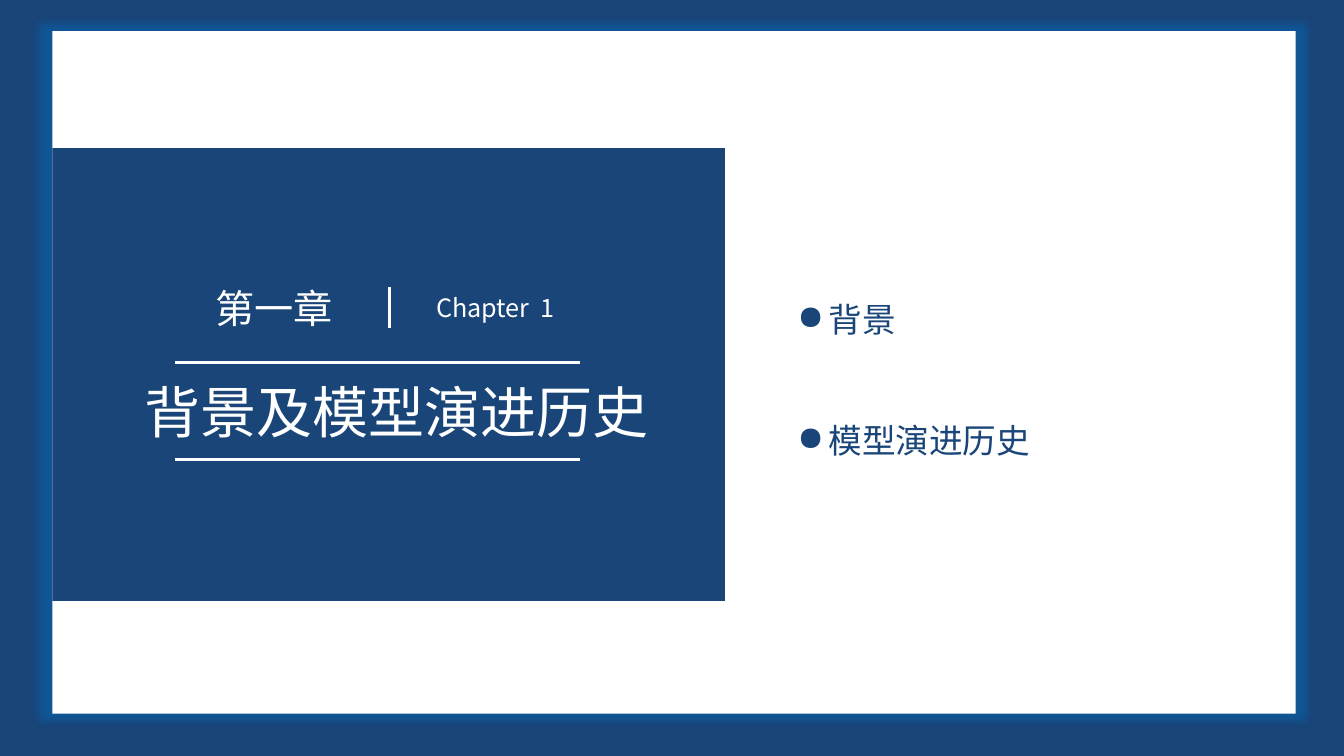
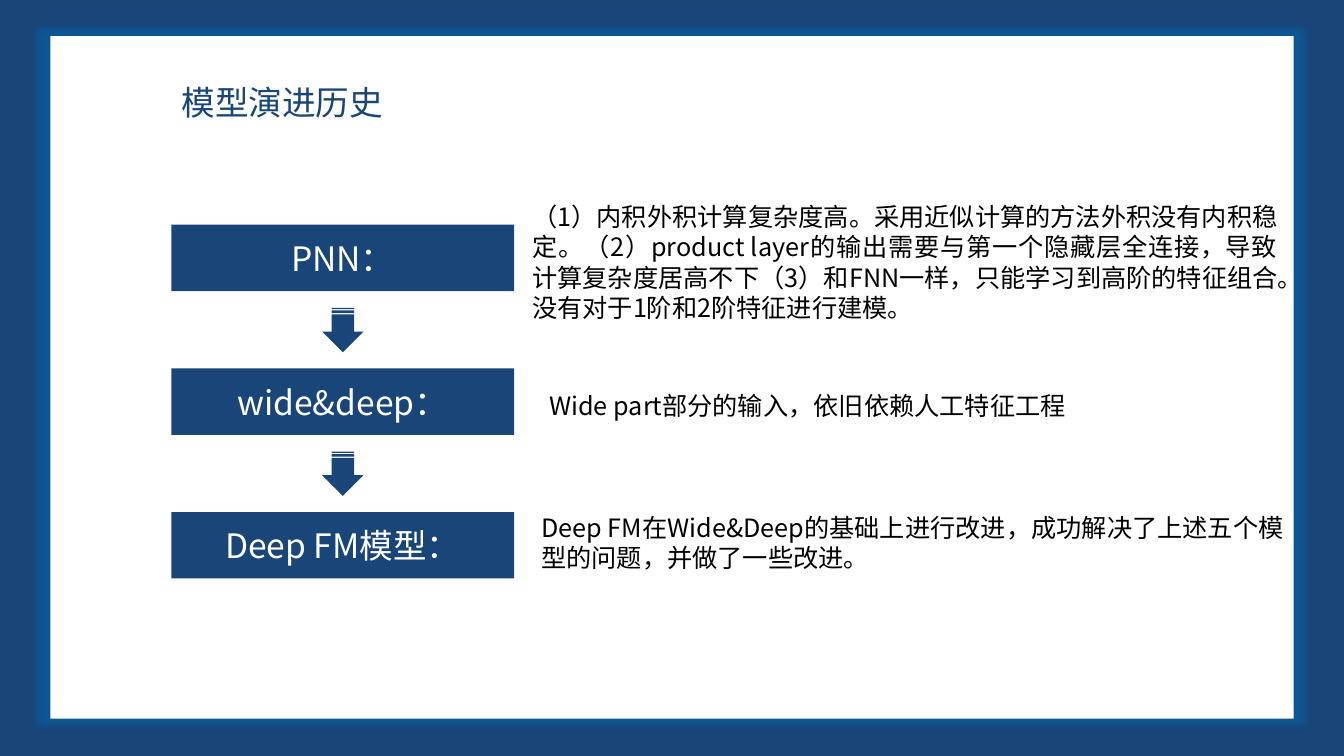
from dataclasses import dataclass

from lxml.etree import SubElement
from pptx import Presentation
from pptx.dml.color import RGBColor
from pptx.enum.shapes import MSO_CONNECTOR, MSO_SHAPE
from pptx.enum.text import MSO_ANCHOR, MSO_AUTO_SIZE, PP_ALIGN
from pptx.oxml.ns import qn
from pptx.util import Inches, Pt

NAVY = "194579"
WHITE = "FFFFFF"
BLACK = "000000"
GLOW = "0070C0"
FONT = "Noto Sans CJK SC"
BULLET_FONT = "Calibri"


@dataclass(frozen=True)
class Box:
    left: float
    top: float
    width: float
    height: float

    def lengths(self) -> tuple:
        return tuple(Inches(value) for value in (self.left, self.top, self.width, self.height))


@dataclass(frozen=True)
class Rule:
    start: tuple[float, float]
    end: tuple[float, float]


@dataclass(frozen=True)
class Stage:
    label: str
    description: str
    box: Box
    align: PP_ALIGN
    spacing: float


RULES = (
    Rule((3.86, 2.85), (3.86, 3.25)),
    Rule((1.74, 3.6), (5.75, 3.6)),
    Rule((1.74, 4.56), (5.75, 4.56)),
)

STAGES = (
    Stage(
        "PNN：",
        "（1）内积外积计算复杂度高。采用近似计算的方法外积没有内积稳定。"
        "（2）product layer的输出需要与第一个隐藏层全连接，导致计算复杂度居高不下"
        "（3）和FNN一样，只能学习到高阶的特征组合。没有对于1阶和2阶特征进行建模。",
        Box(5.18, 1.95, 7.59, 1.31), PP_ALIGN.JUSTIFY, 1.0,
    ),
    Stage(
        "wide&deep：",
        "Wide part部分的输入，依旧依赖人工特征工程",
        Box(5.35, 3.73, 7.48, 0.46), PP_ALIGN.LEFT, 1.3,
    ),
    Stage(
        "Deep FM模型：",
        "Deep FM在Wide&Deep的基础上进行改进，成功解决了上述五个模型的问题，并做了一些改进。",
        Box(5.27, 5.03, 7.56, 0.71), PP_ALIGN.JUSTIFY, 1.0,
    ),
)
STAGE_LEFT, STAGE_TOP = 1.7, 2.23
STAGE_WIDTH, STAGE_HEIGHT = 3.4, 0.66
STAGE_PITCH = 2.85 / 2
ARROW_OFFSET = 0.84
ARROW_WIDTH, ARROW_HEIGHT = 0.44, 0.41


def color(value: str) -> RGBColor:
    return RGBColor.from_string(value)


def write_text(shape, *lines: str, size: float, fill: str = WHITE, font: str = FONT,
               align: PP_ALIGN = PP_ALIGN.LEFT, anchor: MSO_ANCHOR = MSO_ANCHOR.TOP,
               spacing: float = 1.0, gap: float = 0, bullet: str = "") -> None:
    frame = shape.text_frame
    frame.word_wrap = True
    frame.auto_size = MSO_AUTO_SIZE.NONE
    frame.vertical_anchor = anchor
    for index, line in enumerate(lines):
        paragraph = frame.add_paragraph() if index else frame.paragraphs[0]
        paragraph.alignment = align
        paragraph.line_spacing = spacing
        paragraph.space_before = Pt(gap if index else 0)
        if bullet:
            properties = paragraph._p.get_or_add_pPr()
            properties.set("marL", str(Inches(0.31)))
            properties.set("indent", str(Inches(-0.31)))
            SubElement(properties, qn("a:buChar")).set("char", bullet)
        run = paragraph.add_run()
        run.text = line
        run.font.size = Pt(size)
        run.font.name = font
        run.font.color.rgb = color(fill)
        SubElement(run._r.get_or_add_rPr(), qn("a:ea")).set("typeface", FONT)


def add_text(slide, box: Box, *lines: str, **text_format) -> None:
    write_text(slide.shapes.add_textbox(*box.lengths()), *lines, **text_format)


def add_filled(slide, box: Box, fill: str, kind: MSO_SHAPE = MSO_SHAPE.RECTANGLE):
    shape = slide.shapes.add_shape(kind, *box.lengths())
    shape.shadow.inherit = False
    shape.fill.solid()
    shape.fill.fore_color.rgb = color(fill)
    shape.line.fill.background()
    return shape


def add_rule(slide, rule: Rule) -> None:
    points = [Inches(value) for value in (*rule.start, *rule.end)]
    connector = slide.shapes.add_connector(MSO_CONNECTOR.STRAIGHT, *points)
    connector.line.color.rgb = color(WHITE)
    connector.line.width = Pt(2)
    SubElement(connector._element.spPr, qn("a:effectLst"))


def add_glow(shape) -> None:
    effects = shape._element.spPr.find(qn("a:effectLst"))
    shadow = SubElement(effects, qn("a:outerShdw"), blurRad=str(Pt(5)), sx="102000",
                        sy="102000", algn="ctr", rotWithShape="0")
    shade = SubElement(shadow, qn("a:srgbClr"), val=GLOW)
    SubElement(shade, qn("a:alpha"), val="40000")


def add_slide(presentation, page_left: float, page_top: float):
    slide = presentation.slides.add_slide(presentation.slide_layouts.get_by_name("Title Only"))
    add_glow(add_filled(slide, Box(page_left, page_top, 12.33, 6.77), WHITE))
    return slide


def place_title(slide, box: Box, text: str, **text_format) -> None:
    title = slide.shapes.title
    title.left, title.top, title.width, title.height = box.lengths()
    slide.shapes._spTree.append(title._element)
    write_text(title, text, **text_format)


def build_chapter(presentation) -> None:
    slide = add_slide(presentation, 0.52, 0.31)
    add_filled(slide, Box(0.52, 1.47, 6.67, 4.49), NAVY)
    add_text(slide, Box(1.39, 2.77, 2.66, 0.57), "第一章", size=28, align=PP_ALIGN.CENTER)
    add_text(slide, Box(3.75, 2.85, 2.33, 0.4), "Chapter  1", size=18, align=PP_ALIGN.CENTER)
    place_title(slide, Box(1.28, 3.7, 5.31, 0.77), "背景及模型演进历史",
                size=40, align=PP_ALIGN.CENTER)
    for rule in RULES:
        add_rule(slide, rule)
    add_text(slide, Box(7.81, 2.72, 3.46, 1.85), "背景", "模型演进历史", size=24, fill=NAVY,
             font=BULLET_FONT, spacing=1.5, gap=43, bullet="●")


def build_history(presentation) -> None:
    slide = add_slide(presentation, 0.5, 0.36)
    place_title(slide, Box(1.7, 0.76, 2.88, 0.5), "模型演进历史", size=24, fill=NAVY)
    arrow_left = STAGE_LEFT + (STAGE_WIDTH - ARROW_WIDTH) / 2
    for index, stage in enumerate(STAGES):
        top = STAGE_TOP + index * STAGE_PITCH
        panel = add_filled(slide, Box(STAGE_LEFT, top, STAGE_WIDTH, STAGE_HEIGHT), NAVY)
        write_text(panel, stage.label, size=24, align=PP_ALIGN.CENTER, anchor=MSO_ANCHOR.MIDDLE)
        add_text(slide, stage.box, stage.description, size=18, fill=BLACK,
                 align=stage.align, spacing=stage.spacing)
        if index < len(STAGES) - 1:
            arrow_box = Box(arrow_left, top + ARROW_OFFSET, ARROW_WIDTH, ARROW_HEIGHT)
            arrow = add_filled(slide, arrow_box, NAVY, MSO_SHAPE.STRIPED_RIGHT_ARROW)
            arrow.adjustments[0] = 0.54
            arrow.adjustments[1] = 0.5
            arrow.rotation = 90


def main() -> None:
    presentation = Presentation()
    presentation.slide_width = Inches(13.33)
    presentation.slide_height = Inches(7.5)
    background = presentation.slide_master.background.fill
    background.solid()
    background.fore_color.rgb = color(NAVY)
    build_chapter(presentation)
    build_history(presentation)
    presentation.save("out.pptx")


if __name__ == "__main__":
    main()
